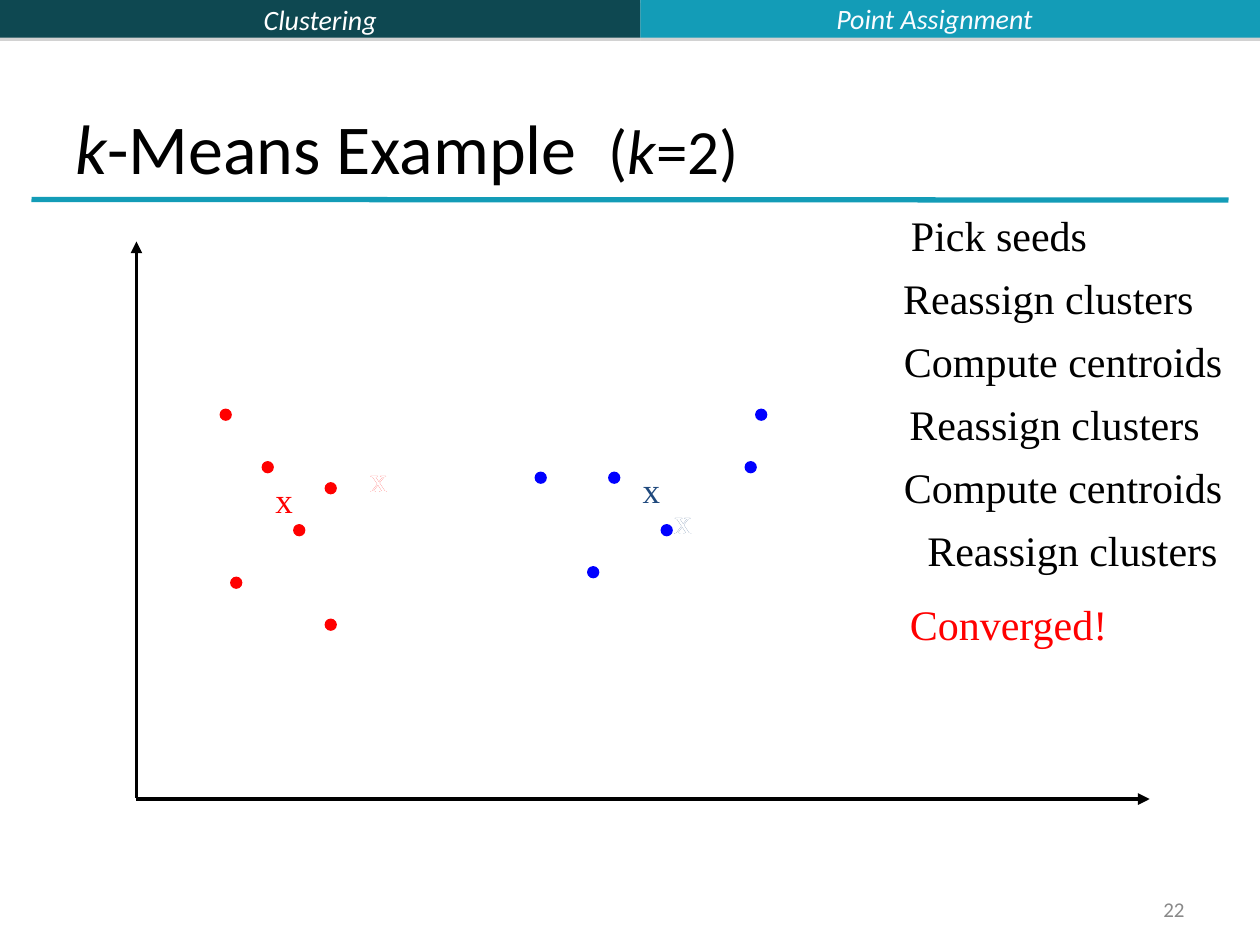
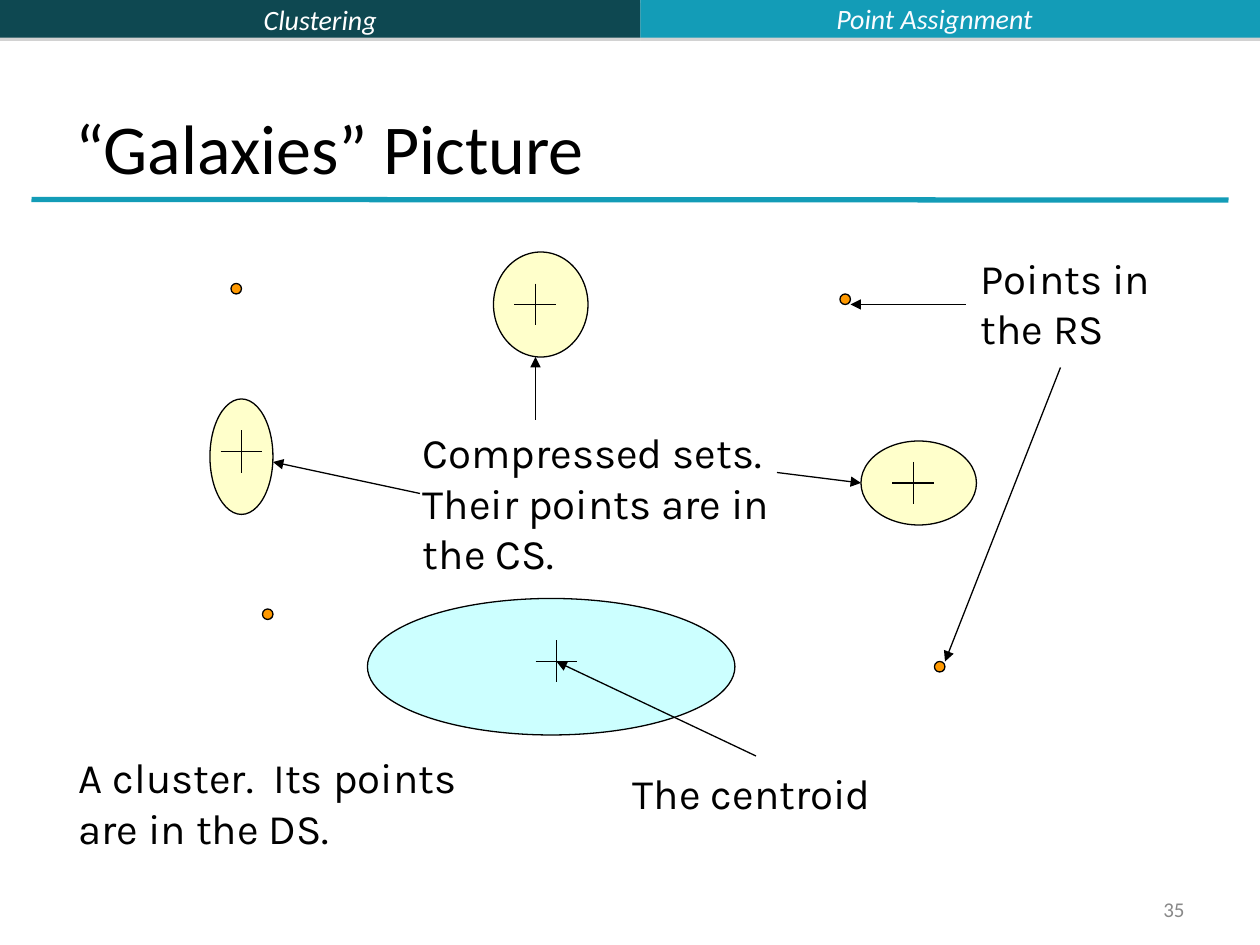
from dataclasses import dataclass

from lxml import etree
from pptx import Presentation
from pptx.dml.color import RGBColor
from pptx.enum.shapes import MSO_CONNECTOR, MSO_SHAPE
from pptx.enum.text import MSO_ANCHOR, MSO_AUTO_SIZE, PP_ALIGN
from pptx.oxml.ns import qn
from pptx.util import Inches, Pt

RECTANGLE, ELLIPSE = MSO_SHAPE.RECTANGLE, MSO_SHAPE.OVAL
STRAIGHT = MSO_CONNECTOR.STRAIGHT
LEFT, CENTER, RIGHT = PP_ALIGN.LEFT, PP_ALIGN.CENTER, PP_ALIGN.RIGHT
TOP, MIDDLE, BOTTOM = MSO_ANCHOR.TOP, MSO_ANCHOR.MIDDLE, MSO_ANCHOR.BOTTOM
NO_FIT, GROW = MSO_AUTO_SIZE.NONE, MSO_AUTO_SIZE.SHAPE_TO_FIT_TEXT

# The slide is a grid of 120 columns by 90 rows
COLUMNS, ROWS = 120, 90
CELL = Inches(10) / COLUMNS

DARK_TEAL, TEAL, GREY = "0E4851", "139CB7", "898989"
BLACK, WHITE, OFF_WHITE = "000000", "FFFFFF", "FBFCFF"
RED, BLUE, NAVY = "FF0000", "0000FF", "1F497D"
YELLOW, CYAN, ORANGE = "FFFF99", "CCFFFF", "FF9900"
SANS, SERIF, LABEL_FONT = "Calibri", "Times New Roman", "Karla"


@dataclass
class Region:
    """An area of a page whose parts are placed in cells from its corner."""
    page: object
    left: float = 0
    top: float = 0

    def x(self, column):
        return round((self.left + column) * CELL)

    def y(self, row):
        return round((self.top + row) * CELL)

    def frame(self, left, top, width, height):
        return self.x(left), self.y(top), round(width * CELL), round(height * CELL)


def color(value):
    return RGBColor.from_string(value)


def style_span(span, font, size, ink, italic=False):
    span.font.name = font
    span.font.size = Pt(size)
    span.font.color.rgb = color(ink)
    span.font.italic = italic


def add_shape(region, kind, box, fill, line=None, weight=0.75, opacity=None):
    shape = region.page.shapes.add_shape(kind, *region.frame(*box))
    shape.shadow.inherit = False
    shape.fill.solid()
    shape.fill.fore_color.rgb = color(fill)
    if opacity:
        fill_color = shape.fill._xPr.find(qn("a:solidFill"))[0]
        etree.SubElement(fill_color, qn("a:alpha"), val=str(opacity * 1000))
    if line:
        shape.line.color.rgb = color(line)
        shape.line.width = Pt(weight)
    else:
        shape.line.fill.background()
    return shape


def add_line(region, start, end, ink=BLACK, weight=0.75, arrow=False):
    line = region.page.shapes.add_connector(
        STRAIGHT, region.x(start[0]), region.y(start[1]),
        region.x(end[0]), region.y(end[1]))
    line.line.color.rgb = color(ink)
    line.line.width = Pt(weight)
    if arrow:
        etree.SubElement(line.line._get_or_add_ln(), qn("a:tailEnd"), type="triangle")
    etree.SubElement(line._element.spPr, qn("a:effectLst"))


def add_text(region, box, text, font, size, ink=BLACK, align=LEFT,
             anchor=TOP, italic=False, wrap=False):
    label = region.page.shapes.add_textbox(*region.frame(*box))
    frame = label.text_frame
    frame.word_wrap = wrap
    frame.auto_size = NO_FIT if wrap else GROW
    frame.vertical_anchor = anchor
    frame.text = text
    for para in frame.paragraphs:
        para.alignment = align
        for span in para.runs:
            style_span(span, font, size, ink, italic)


def add_band(region, box, fill):
    band = add_shape(region, RECTANGLE, box, fill)
    effects = band._element.spPr.find(qn("a:effectLst"))
    shadow = etree.SubElement(effects, qn("a:outerShdw"), dist=str(Pt(1.8)),
                              dir="5400000", rotWithShape="0")
    tint = etree.SubElement(shadow, qn("a:srgbClr"), val="808080")
    etree.SubElement(tint, qn("a:alpha"), val="35000")


def add_page(deck, title_spans, number):
    """Title-only page with header bands, rule and page number.

    Each title span is (text, size, italic).
    """
    page = deck.slides.add_slide(deck.slide_layouts[5])
    region = Region(page)

    # Header bands
    split, band_height = 61, 3.6
    add_band(region, (0, 0, split, band_height), DARK_TEAL)
    add_band(region, (split, 0, COLUMNS - split, band_height), TEAL)
    add_text(region, (0, 0, split, band_height), "Clustering", SANS, 16, WHITE,
             CENTER, MIDDLE, italic=True, wrap=True)
    add_text(region, (58, -0.5, 62, 4.4), "Point Assignment", SANS, 16, OFF_WHITE,
             CENTER, MIDDLE, italic=True, wrap=True)

    # Title and rule
    title = page.shapes.title
    title.left, title.top, title.width, title.height = region.frame(6, 3.6, 108, 15)
    frame = title.text_frame
    frame.auto_size = NO_FIT
    frame.vertical_anchor = BOTTOM
    para = frame.paragraphs[0]
    para.alignment = LEFT
    for text, size, italic in title_spans:
        span = para.add_run()
        span.text = text
        style_span(span, SANS, size, BLACK, italic)
    add_line(region, (3, 19), (117, 19.05), TEAL, 3)

    # Page number
    add_text(region, (86, 85, 28, 3.2), number, SANS, 12, GREY, RIGHT, MIDDLE, wrap=True)
    return page


def draw_scatter(region):
    # Axes
    add_line(region, (0, 53), (0, 0), weight=2.25, arrow=True)
    add_line(region, (0, 53.1), (96.5, 53.1), weight=2.25, arrow=True)

    # Points of each cluster
    clusters = {
        RED: [(8, 16), (12, 21), (18, 23), (15, 27), (18, 36), (9, 32)],
        BLUE: [(50, 27), (43, 31), (58, 21), (45, 22), (59, 16), (38, 22)],
    }
    for ink, points in clusters.items():
        for column, row in points:
            add_shape(region, ELLIPSE, (column, row, 1, 1), ink, ink, 1)

    # Centroids: the first ones are whitened out, then the new ones are set
    centroids = [((21, 20), RED), ((50, 24), NAVY),
                 ((21, 20), WHITE), ((50, 24), WHITE),
                 ((12, 22), RED), ((47, 21), NAVY)]
    for corner, ink in centroids:
        add_text(region, (*corner, 4.1, 5.3), "x", SERIF, 20, ink, CENTER)


def draw_steps(region):
    row_pitch = 6
    seeds, reassign, compute = "Pick seeds", "Reassign clusters", "Compute centroids"
    widths = {seeds: 19.2, reassign: 30.2, compute: 32.8}
    steps = [(seeds, 0.8), (reassign, 0), (compute, 0.1),
             (reassign, 0.6), (compute, 0.1), (reassign, 2.3)]
    for index, (step, indent) in enumerate(steps):
        add_text(region, (indent, index * row_pitch, widths[step], row_pitch),
                 step, SERIF, 24, align=CENTER)
    add_text(region, (0.7, 37, 21.2, row_pitch), "Converged!", SERIF, 24, RED, CENTER)


def draw_cross(region, column, row, arm=2):
    add_line(region, (column, row - arm), (column, row + arm))
    add_line(region, (column - arm, row), (column + arm, row))


def draw_galaxies(region):
    # Sets with their centroids: ellipse, fill, opacity, centroid
    galaxies = [
        ((29, 34, 35, 13), CYAN, None, (47, 40)),
        ((14, 15, 6, 11), YELLOW, 50, (17, 20)),
        ((76, 19, 11, 8), YELLOW, 50, (81, 23)),
        ((41, 1, 9, 10), YELLOW, 50, (45, 6)),
    ]
    for box, fill, opacity, centroid in galaxies:
        add_shape(region, ELLIPSE, box, fill, BLACK, opacity=opacity)
        draw_cross(region, *centroid)

    # Retained points
    for column, row in ((16, 4), (19, 35), (83, 40), (74, 5)):
        add_shape(region, ELLIPSE, (column, row, 1, 1), ORANGE, BLACK)

    # Labels
    labels = [
        ((0.3, 48, 39.4, 10.8), "A cluster.  Its points\nare in the DS."),
        ((53.1, 49.5, 26, 6), "The centroid"),
        ((33.1, 17.05, 36.5, 15.6), "Compressed sets.\nTheir points are in\nthe CS."),
        ((86.2, 0.45, 18.6, 10.8), "Points in\nthe RS"),
    ]
    for box, text in labels:
        add_text(region, box, text, LABEL_FONT, 24)

    # Arrows from labels to what they name
    arrows = [((66, 49), (47, 40)), ((34, 24), (20, 21)), ((45, 17), (45, 11)),
              ((68, 22), (76, 23)), ((86, 6), (75, 6)), ((95, 12), (84, 40))]
    for start, end in arrows:
        add_line(region, start, end, arrow=True)


def main():
    deck = Presentation()
    deck.slide_width = round(COLUMNS * CELL)
    deck.slide_height = round(ROWS * CELL)

    page = add_page(deck, [("k", 40, True), ("-Means Example  ", 40, False),
                           ("(", 36, False), ("k", 36, True), ("=2)", 36, False)], "22")
    draw_scatter(Region(page, 13, 23))
    draw_steps(Region(page, 84.75, 19.4))

    page = add_page(deck, [("“Galaxies” Picture", 40, False)], "35")
    draw_galaxies(Region(page, 6, 23))

    deck.save("out.pptx")


if __name__ == "__main__":
    main()
